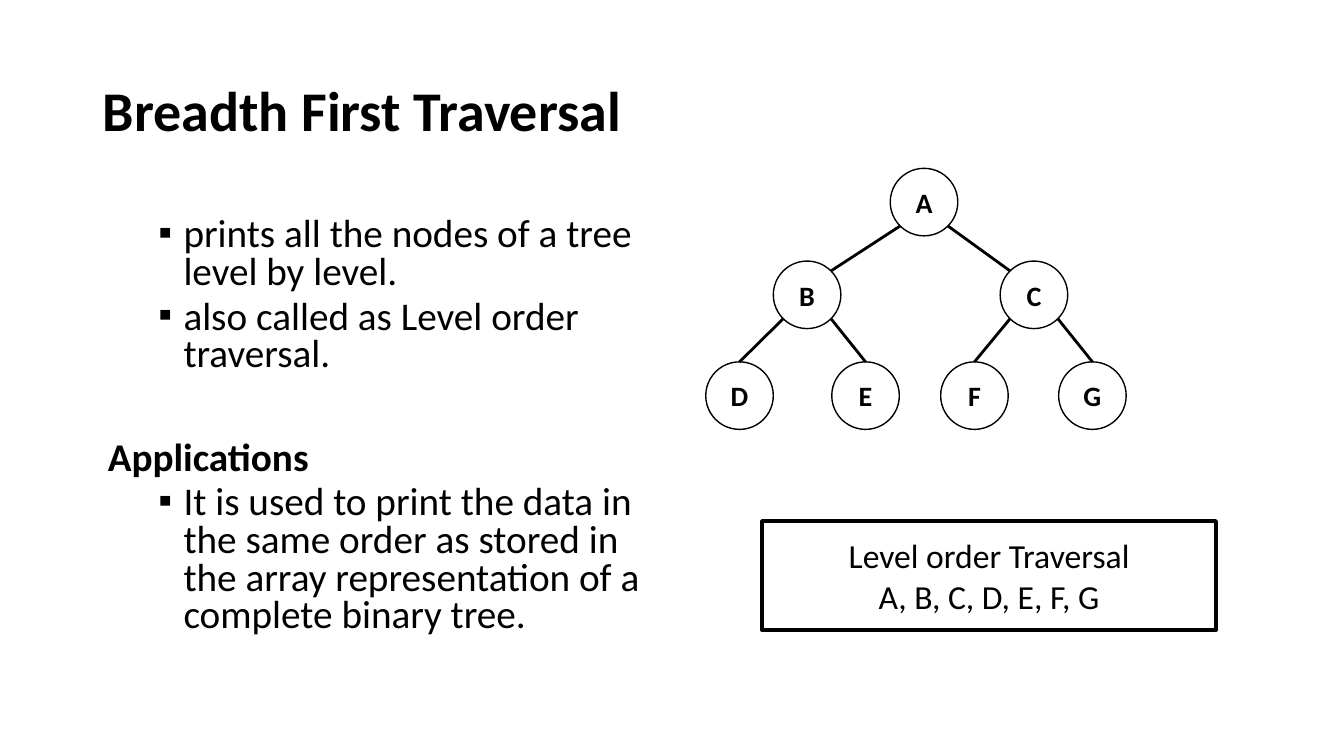
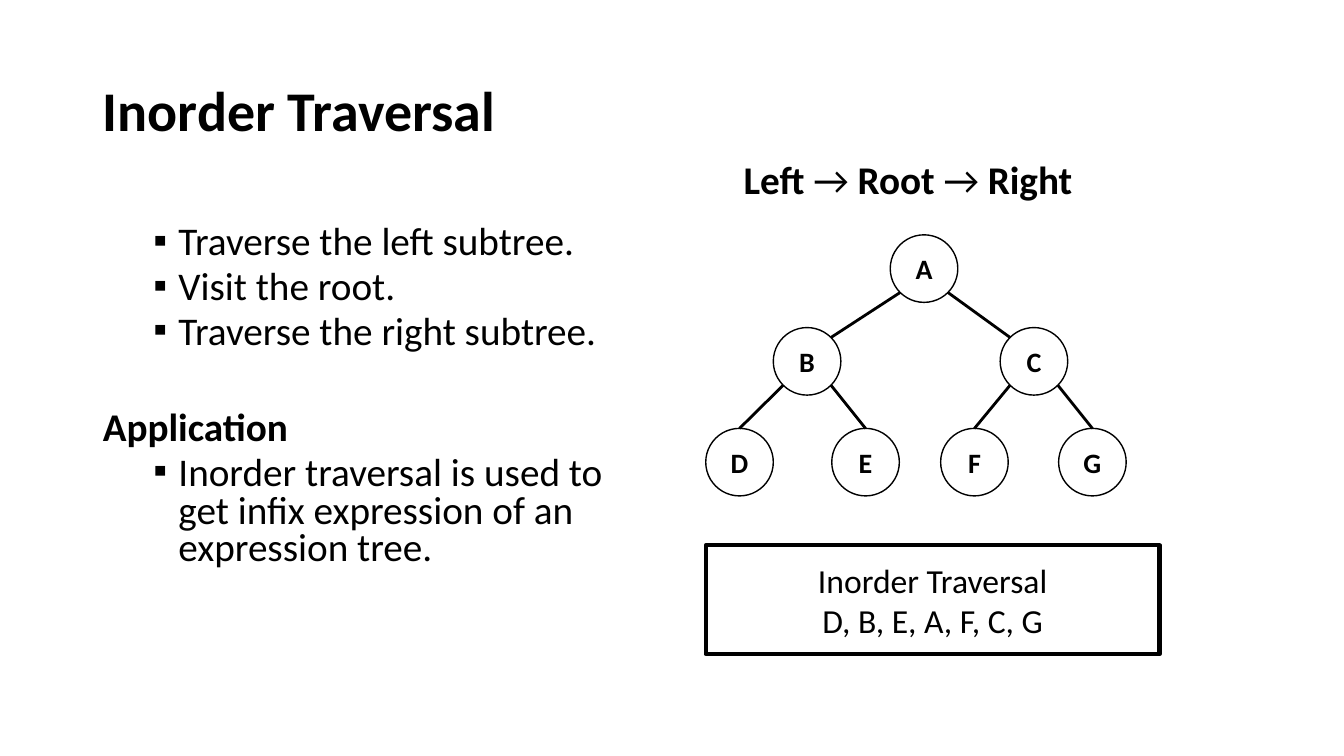
from dataclasses import dataclass
from math import sqrt

from lxml import etree
from pptx import Presentation
from pptx.dml.color import RGBColor
from pptx.enum.shapes import MSO_CONNECTOR, MSO_SHAPE
from pptx.enum.text import MSO_ANCHOR, MSO_AUTO_SIZE, PP_ALIGN
from pptx.oxml.ns import qn
from pptx.util import Inches, Pt

OVAL, RECT = MSO_SHAPE.OVAL, MSO_SHAPE.RECTANGLE
STRAIGHT = MSO_CONNECTOR.STRAIGHT
LEFT, CENTER = PP_ALIGN.LEFT, PP_ALIGN.CENTER
TOP, MIDDLE = MSO_ANCHOR.TOP, MSO_ANCHOR.MIDDLE
NO_FIT = MSO_AUTO_SIZE.NONE


@dataclass(frozen=True)
class Theme:
    font: str = "Calibri"
    ink: RGBColor = RGBColor(0, 0, 0)
    title: int = 40
    body: int = 28
    box: int = 24
    node: int = 20
    thin: int = 1
    edge: int = 2
    thick: int = 3


THEME = Theme()
SIDE = 0.67  # diameter of a node
BOX = (4.5, 1.08)

# Left edge and drop below the root's top, for each node
NODES = {
    "A": (8.83, 0),
    "B": (7.67, 0.92), "C": (9.92, 0.92),
    "D": (7, 1.92), "E": (8.25, 1.92), "F": (9.33, 1.92), "G": (10.5, 1.92),
}
KIDS = {"A": "BC", "B": "DE", "C": "FG"}

# Body: points, heading, space before the heading, points below it
SLIDES = [
    {
        "title": "Breadth First Traversal",
        "title_at": (0.92, 0.4, 5.92, 1.45),
        "body_at": (0.97, 2.11, 5.67, 4.58),
        "points": ["prints all the nodes of a tree level by level.",
                   "also called as Level order traversal."],
        "head": "Applications",
        "gap": 47,
        "uses": ["It is used to print the data in the same order as stored "
                 "in the array representation of a complete binary tree."],
        "order": [],
        "tree": 1.67,
        "box_at": (7.56, 5.17),
        "box": ["Level order Traversal", "A, B, C, D, E, F, G"],
    },
    {
        "title": "Inorder Traversal",
        "title_at": (0.92, 0.4, 4.42, 1.45),
        "body_at": (0.92, 2.19, 5.67, 3.69),
        "points": ["Traverse the left subtree.", "Visit the root.",
                   "Traverse the right subtree."],
        "head": "Application",
        "gap": 42,
        "uses": ["Inorder traversal is used to get infix expression of an "
                 "expression tree."],
        "order": [("Left ", True), ("→", False), (" Root ", True),
                  ("→", False), (" Right", True)],
        "order_at": (6.67, 1.58, 4.67, 5.12),
        "tree": 2.33,
        "box_at": (7, 5.41),
        "box": ["Inorder Traversal", "D, B, E, A, F, C, G"],
    },
]


def add_run(para, text, size, bold=False):
    run = para.add_run()
    run.text = text
    font = run.font
    font.name, font.size, font.bold = THEME.font, Pt(size), bold
    font.color.rgb = THEME.ink


def next_para(frame):
    """Return the first paragraph if it is still unused, else a new one."""
    first = frame.paragraphs[0]
    return frame.add_paragraph() if first.runs else first


def set_para(para, align, lines, before, bullet=None):
    para.alignment, para.line_spacing = align, lines
    para.space_before, para.space_after = Pt(before), Pt(0)
    props = para._p.get_or_add_pPr()
    props.set("marL", str(Inches(0.75 if bullet else 0)))
    props.set("indent", str(Inches(-0.25 if bullet else 0)))
    if bullet:
        para.level = 1
        etree.SubElement(props, qn("a:buChar")).set("char", bullet)
    else:
        etree.SubElement(props, qn("a:buNone"))


def place(holder, at, anchor):
    """Move a placeholder and return its text frame."""
    holder.left, holder.top, holder.width, holder.height = map(Inches, at)
    frame = holder.text_frame
    frame.word_wrap, frame.auto_size = True, NO_FIT
    frame.vertical_anchor = anchor
    return frame


def add_points(frame, texts):
    for text in texts:
        para = next_para(frame)
        set_para(para, LEFT, 0.8, 5, "▪")
        add_run(para, text, THEME.body)


def add_shape(slide, kind, at, line, texts, size, bold=False):
    shape = slide.shapes.add_shape(kind, *map(Inches, at))
    shape.shadow.inherit = False
    shape.fill.background()
    shape.line.color.rgb, shape.line.width = THEME.ink, Pt(line)
    frame = shape.text_frame
    frame.word_wrap, frame.vertical_anchor = True, MIDDLE
    frame.margin_left = frame.margin_right = 0
    frame.margin_top = frame.margin_bottom = 0
    for text in texts:
        para = next_para(frame)
        para.alignment = CENTER
        add_run(para, text, size, bold)


def add_edge(slide, start, end):
    edge = slide.shapes.add_connector(STRAIGHT, *map(Inches, start + end))
    edge.line.color.rgb, edge.line.width = THEME.ink, Pt(THEME.edge)
    etree.SubElement(edge._element.spPr, qn("a:effectLst"))


def add_tree(slide, top):
    half = SIDE / 2
    slant = half / sqrt(2)
    mids = {}
    for name, (left, drop) in NODES.items():
        at = (left, top + drop, SIDE, SIDE)
        add_shape(slide, OVAL, at, THEME.thin, [name], THEME.node, True)
        mids[name] = (left + half, top + drop + half)
    for name, kids in KIDS.items():
        x, y = mids[name]
        for kid, sign in zip(kids, (-1, 1)):
            kid_x, kid_y = mids[kid]
            # Inner nodes are met on the slant, leaves at the top
            if kid in KIDS:
                end = (kid_x - sign * slant, kid_y - slant)
            else:
                end = (kid_x, kid_y - half)
            add_edge(slide, (x + sign * slant, y + slant), end)


def add_slide(deck, data):
    layout = deck.slide_layouts[3 if data["order"] else 1]
    slide = deck.slides.add_slide(layout)
    holders = slide.placeholders

    frame = place(slide.shapes.title, data["title_at"], MIDDLE)
    para = next_para(frame)
    set_para(para, LEFT, 0.9, 0)
    add_run(para, data["title"], THEME.title, True)

    frame = place(holders[1], data["body_at"], TOP)
    add_points(frame, data["points"])
    para = next_para(frame)
    set_para(para, LEFT, 0.8, data["gap"])
    add_run(para, data["head"], THEME.body, True)
    add_points(frame, data["uses"])

    if data["order"]:
        frame = place(holders[2], data["order_at"], TOP)
        para = next_para(frame)
        set_para(para, CENTER, 0.8, 10)
        for text, bold in data["order"]:
            add_run(para, text, THEME.body, bold)

    add_tree(slide, data["tree"])
    add_shape(slide, RECT, data["box_at"] + BOX, THEME.thick, data["box"],
              THEME.box)


def main():
    deck = Presentation()
    deck.slide_width, deck.slide_height = Inches(13.33), Inches(7.5)
    for data in SLIDES:
        add_slide(deck, data)
    deck.save("out.pptx")


if __name__ == "__main__":
    main()
